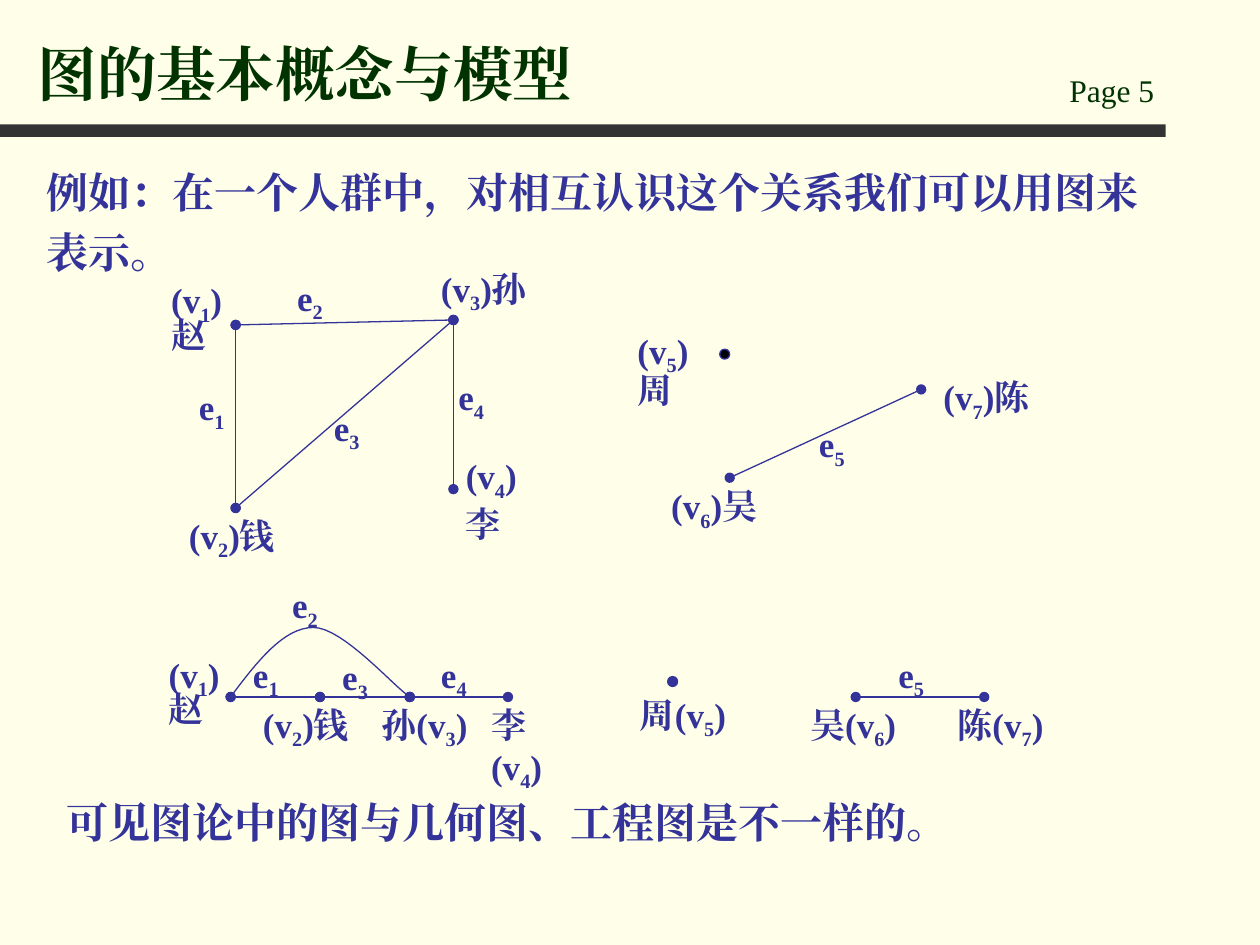
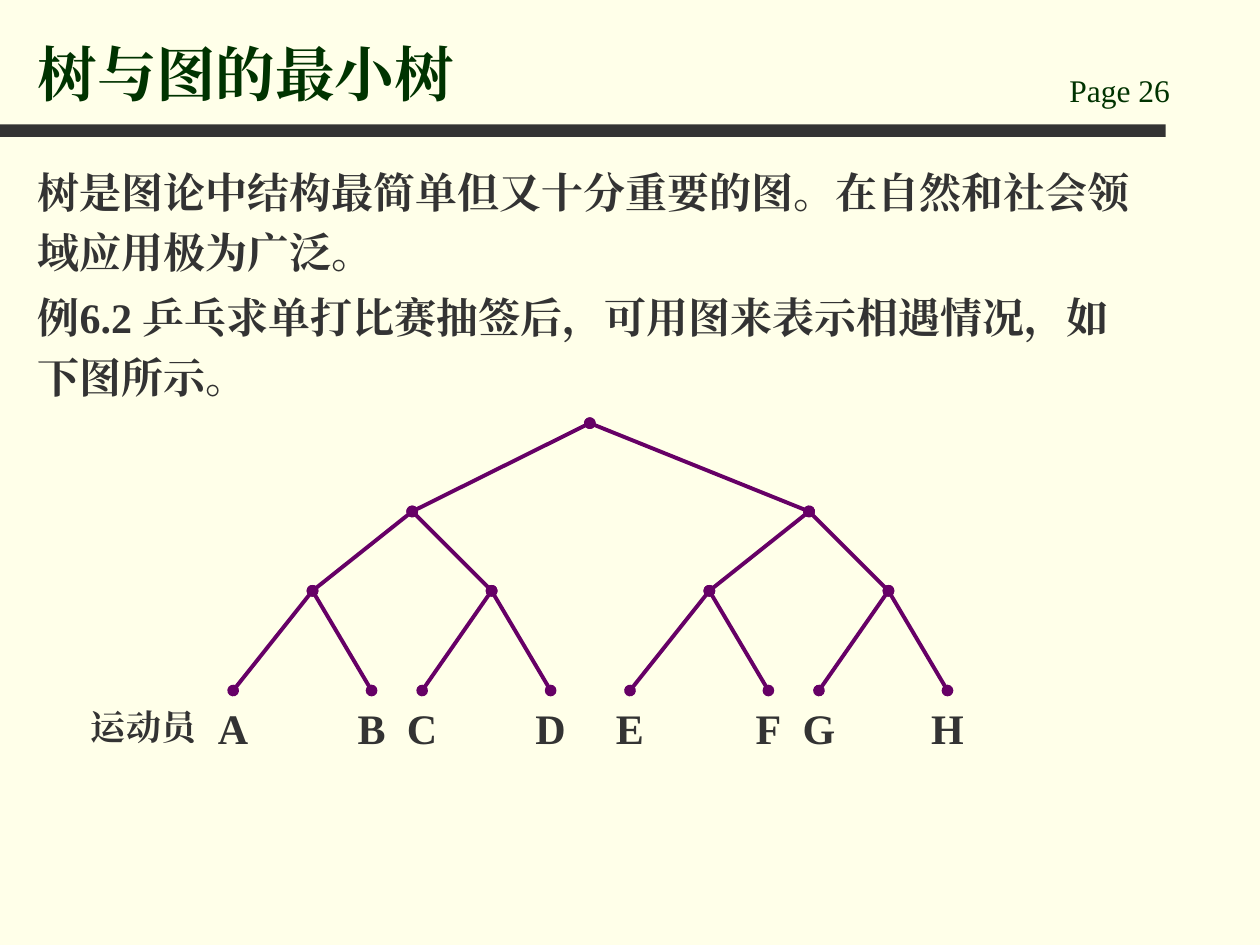
"""Build two slides on graph theory: an acquaintance graph and a tournament tree."""
from lxml import etree
from pptx import Presentation
from pptx.dml.color import RGBColor
from pptx.enum.lang import MSO_LANGUAGE_ID
from pptx.enum.shapes import MSO_CONNECTOR, MSO_SHAPE
from pptx.enum.text import MSO_ANCHOR, PP_ALIGN
from pptx.oxml.ns import qn
from pptx.util import Cm, Pt

STRAIGHT = MSO_CONNECTOR.STRAIGHT
RECTANGLE, OVAL = MSO_SHAPE.RECTANGLE, MSO_SHAPE.OVAL
TOP, BOTTOM = MSO_ANCHOR.TOP, MSO_ANCHOR.BOTTOM
LEFT, CENTER = PP_ALIGN.LEFT, PP_ALIGN.CENTER
CHINESE = MSO_LANGUAGE_ID.SIMPLIFIED_CHINESE

FONT = "Times New Roman"
COLORS = {
    "paper": "FFFFE9",
    "band": "333333",
    "heading": "003300",
    "graph": "333399",
    "ink": "333333",
    "tree": "660066",
    "isolated": "000000",
}
DOT_SIZE = 0.2

ACQUAINTANCE_VERTICES = {
    1: (4.75, 6.55), 2: (4.75, 10.24), 3: (9.14, 6.45), 4: (9.14, 9.86),
    5: (14.61, 7.14), 6: (14.71, 9.63), 7: (18.57, 7.85),
}
ACQUAINTANCE_EDGES = [(2, 1), (3, 1), (3, 2), (3, 4), (7, 6)]
ACQUAINTANCE_NAMES = [
    ("(v_1)\n赵", 3.2, 5.89, 1.7, 0.4),
    ("(v_2)钱", 3.56, 10.24, 3.18, 1),
    ("(v_3)孙", 8.64, 5.26, 2.97, 1),
    ("(v_4)李", 9.14, 9.04, 1.7, 1),
    ("(v_5)\n周", 12.6, 6.83, 1.7, 0.5),
    ("(v_6)吴", 13.28, 9.65, 2.97, 1),
    ("(v_7)陈", 18.77, 7.44, 2.54, 1),
]
ACQUAINTANCE_EDGE_NAMES = [
    ("e_1", 3.76, 8.05), ("e_2", 5.74, 5.84), ("e_3", 6.48, 8.46),
    ("e_4", 8.99, 7.85), ("e_5", 16.26, 8.79),
]

CHAIN_Y = 14.05
CHAIN_EDGES = [(4.65, 6.45), (6.45, 8.26), (8.26, 10.24), (17.25, 19.84)]
CHAIN_ARC = [
    [(4.65, 14.05), (5.18, 13.34), (5.72, 12.65), (6.32, 12.65)],
    [(6.32, 12.65), (6.91, 12.65), (7.92, 13.82), (8.26, 14.05)],
]
CHAIN_NAMES = [
    ("(v_1)\n赵", 3.15, 13.44, 1.7, 0.4),
    ("(v_2)钱", 5.05, CHAIN_Y, 3.18, 1),
    ("孙(v_3)", 7.44, CHAIN_Y, 2.97, 1),
    ("李(v_4)", 9.65, CHAIN_Y, 2.21, 1),
    ("周(v_5)", 12.65, 14.17, 2.41, 0.5),
    ("吴(v_6)", 16.08, CHAIN_Y, 2.97, 1),
    ("陈(v_7)", 19.05, CHAIN_Y, 2.54, 1),
]
CHAIN_EDGE_NAMES = [
    ("e_1", 4.85, 13.44), ("e_2", 5.64, 12.04), ("e_3", 6.65, 13.49),
    ("e_4", 8.64, 13.44), ("e_5", 17.86, 13.44),
]

ROUND_YS = [8.53, 10.31, 11.91, 13.92]
FINAL_X = 11.89
HALF_DRAW = [[8.31], [6.3, 9.91], [4.7, 7.49, 8.51, 11.1]]
HALF_SHIFT = 8


def color(name):
    """Return the named colour."""
    return RGBColor.from_string(COLORS[name])


def add_run(paragraph, text, size, ink, bold, subscript=False):
    """Append one run, lowered if it is a subscript."""
    run = paragraph.add_run()
    run.text = text
    font = run.font
    font.name, font.size, font.bold = FONT, Pt(size), bold
    font.color.rgb = color(ink)
    font.language_id = CHINESE
    properties = run._r.get_or_add_rPr()
    etree.SubElement(properties, qn("a:ea"), typeface=FONT)
    if subscript:
        properties.set("baseline", "-25000")


def add_text(slide, text, left, top, width, height=1.09, *, size=20, ink="graph",
             bold=True, align=LEFT, anchor=TOP, spacing=1):
    """Add a text box; a newline starts a paragraph, "_" lowers the next character."""
    frame = slide.shapes.add_textbox(Cm(left), Cm(top), Cm(width), Cm(height)).text_frame
    frame.word_wrap = True
    frame.vertical_anchor = anchor
    for index, line in enumerate(text.split("\n")):
        paragraph = frame.add_paragraph() if index else frame.paragraphs[0]
        paragraph.alignment = align
        paragraph.line_spacing = spacing
        if index:
            paragraph.space_before = Pt(size / 2)
        plain, *lowered = line.split("_")
        if plain:
            add_run(paragraph, plain, size, ink, bold)
        for part in lowered:
            add_run(paragraph, part[0], size, ink, bold, subscript=True)
            if part[1:]:
                add_run(paragraph, part[1:], size, ink, bold)


def style_edge(edge, ink, weight):
    """Give an edge its line and a round dot at each end."""
    edge.line.color.rgb = color(ink)
    edge.line.width = Pt(weight)
    line = edge.line._get_or_add_ln()
    for end in ("a:headEnd", "a:tailEnd"):
        etree.SubElement(line, qn(end), type="oval")


def add_edge(slide, start, end, ink="graph", weight=0.75):
    """Join two vertices with a straight edge."""
    edge = slide.shapes.add_connector(STRAIGHT, *map(Cm, (*start, *end)))
    style_edge(edge, ink, weight)
    etree.SubElement(edge._element.spPr, qn("a:effectLst"))


def bezier_point(controls, t):
    """Return the point at t on a cubic curve."""
    weights = ((1 - t) ** 3, 3 * t * (1 - t) ** 2, 3 * t ** 2 * (1 - t), t ** 3)
    return tuple(Cm(sum(w * c for w, c in zip(weights, axis))) for axis in zip(*controls))


def add_arc(slide, curves, steps=16):
    """Draw an edge that follows joined cubic curves."""
    start, *rest = [bezier_point(curve, step / steps)
                    for curve in curves for step in range(steps + 1)]
    builder = slide.shapes.build_freeform(*start, scale=1.0)
    builder.add_line_segments(rest, close=False)
    arc = builder.convert_to_shape()
    arc.fill.background()
    arc.shadow.inherit = False
    style_edge(arc, "graph", 0.75)


def add_solid(slide, kind, left, top, width, height, fill):
    """Add a filled shape without outline or shadow."""
    solid = slide.shapes.add_shape(kind, *map(Cm, (left, top, width, height)))
    solid.fill.solid()
    solid.fill.fore_color.rgb = color(fill)
    solid.line.fill.background()
    solid.shadow.inherit = False
    return solid


def add_isolated_vertex(slide, x, y, fill):
    """Add a vertex that has no edge."""
    vertex = add_solid(slide, OVAL, x - DOT_SIZE / 2, y - DOT_SIZE / 2,
                       DOT_SIZE, DOT_SIZE, fill)
    vertex.line.color.rgb = color("graph")
    vertex.line.width = Pt(0.75)


def add_graph_names(slide, vertex_names, edge_names):
    """Label the vertices and edges of a graph."""
    for name, left, top, width, spacing in vertex_names:
        add_text(slide, name, left, top, width, spacing=spacing)
    for name, left, top in edge_names:
        add_text(slide, name, left, top, 1.4, 0.58, spacing=0.4)


def add_page(deck, title, number):
    """Start a slide with its background, band, page number and title."""
    slide = deck.slides.add_slide(deck.slide_layouts[6])
    slide.background.fill.solid()
    slide.background.fill.fore_color.rgb = color("paper")
    add_solid(slide, RECTANGLE, 0, 2.51, 23.5, 0.25, "band")
    add_text(slide, f"Page {number}", 21.31, 1.3, 3.61, 1.02,
             size=18, ink="heading", bold=False)
    add_text(slide, title, 0.51, 0.33, 20.4, 1.98, size=34, ink="heading", anchor=BOTTOM)
    return slide


def build_acquaintance_slide(deck):
    """Show one acquaintance graph drawn in two ways."""
    slide = add_page(deck, "图的基本概念与模型", 5)
    add_text(slide, "例如：在一个人群中，对相互认识这个关系我们可以用图来表示。",
             0.69, 3.02, 22.81, 2.69, size=24, spacing=1.2)

    for start, end in ACQUAINTANCE_EDGES:
        add_edge(slide, ACQUAINTANCE_VERTICES[start], ACQUAINTANCE_VERTICES[end])
    add_isolated_vertex(slide, *ACQUAINTANCE_VERTICES[5], "isolated")
    add_graph_names(slide, ACQUAINTANCE_NAMES, ACQUAINTANCE_EDGE_NAMES)

    for start_x, end_x in CHAIN_EDGES:
        add_edge(slide, (start_x, CHAIN_Y), (end_x, CHAIN_Y))
    add_arc(slide, CHAIN_ARC)
    add_isolated_vertex(slide, 13.56, 13.74, "graph")
    add_graph_names(slide, CHAIN_NAMES, CHAIN_EDGE_NAMES)

    add_text(slide, "可见图论中的图与几何图、工程图是不一样的。",
             1.09, 15.72, 19, 1.47, size=24, spacing=1.2)


def build_tournament_slide(deck):
    """Show the draw of a singles tournament as a tree."""
    slide = add_page(deck, "树与图的最小树", 26)
    body = {"ink": "ink", "spacing": 1.2}
    add_text(slide, "树是图论中结构最简单但又十分重要的图。在自然和社会领域应用极为广泛。",
             0.51, 3.02, 22.81, 2.69, size=24, **body)
    add_text(slide, "例6.2 乒乓求单打比赛抽签后，可用图来表示相遇情况，如下图所示。",
             0.51, 5.54, 22.91, 2.69, size=24, **body)

    rounds = [[FINAL_X]] + [[x + shift for shift in (0, HALF_SHIFT) for x in xs]
                            for xs in HALF_DRAW]
    for level in range(1, len(rounds)):
        for index, x in enumerate(rounds[level]):
            winner = (rounds[level - 1][index // 2], ROUND_YS[level - 1])
            add_edge(slide, winner, (x, ROUND_YS[level]), "tree", 2.25)

    for player, x in zip("ABCDEFGH", rounds[-1]):
        add_text(slide, player, x - 0.8, 13.84, 1.6, 1.47, size=24, align=CENTER, **body)
    add_text(slide, "运动员", 1.09, 13.92, 3.61, 1.27, align=CENTER, **body)


def main():
    """Build and save the deck."""
    deck = Presentation()
    deck.slide_width, deck.slide_height = Cm(25.4), Cm(19.05)
    build_acquaintance_slide(deck)
    build_tournament_slide(deck)
    deck.save("out.pptx")


if __name__ == "__main__":
    main()
